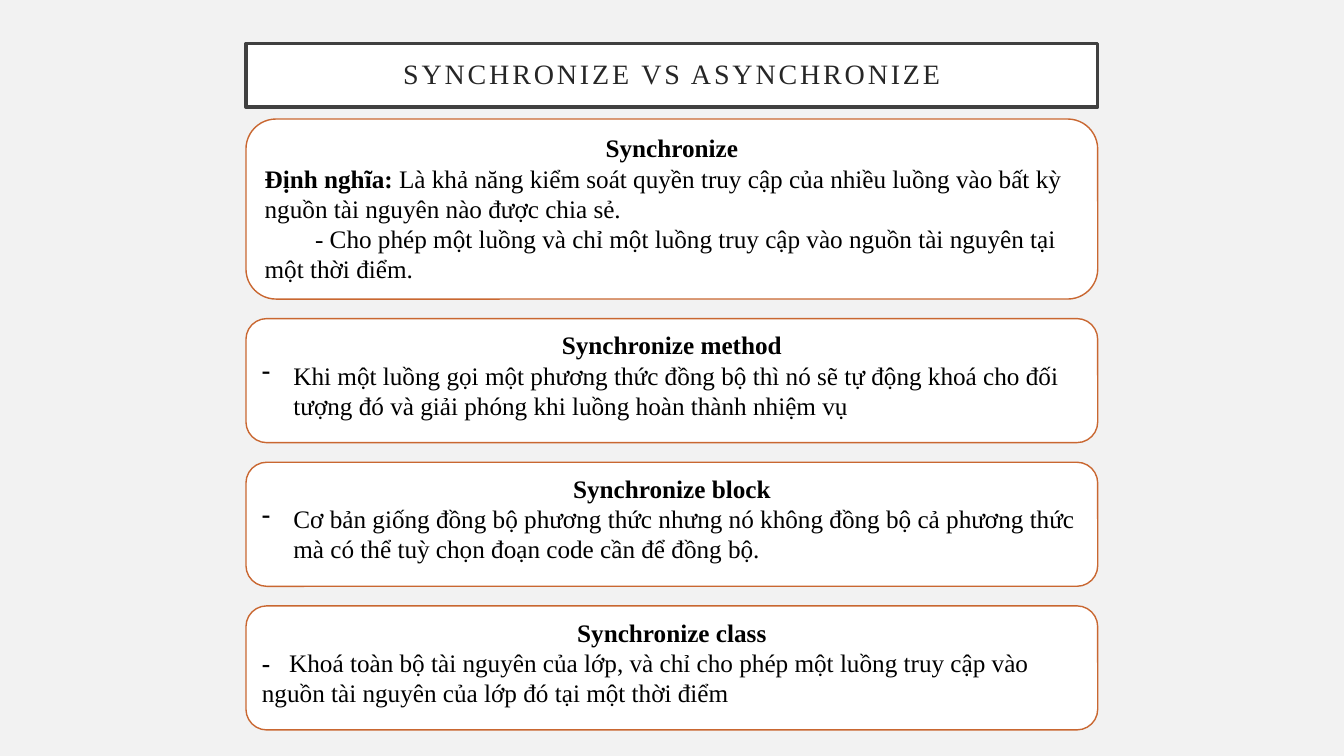
from lxml import etree
from pptx import Presentation
from pptx.dml.color import RGBColor
from pptx.enum import shapes, text
from pptx.oxml.ns import qn
from pptx.util import Pt

COLORS = {
    "background": "F2F2F2",
    "white": "FFFFFF",
    "title_line": "404040",
    "title_text": "262626",
    "card_line": "C96731",
    "black": "000000",
}
LEFT, WIDTH = Pt(175.7), Pt(608.4)
CARD_TOP, CARD_GAP = 85, 14

# Each card: height, heading, then paragraphs as (layout, [(text, bold), ...])
CARDS = [
    (128.6, "Synchronize", [
        ("plain", [("Định nghĩa: ", True),
                   ("Là khả năng kiểm soát quyền truy cập của nhiều luồng vào "
                    "bất kỳ nguồn tài nguyên nào được chia sẻ.", False)]),
        ("first_line", [("- Cho phép một luồng và chỉ một luồng truy cập vào nguồn "
                         "tài nguyên tại một thời điểm.", False)]),
    ]),
    (88.6, "Synchronize method", [
        ("bullet", [("Khi một luồng gọi một phương thức đồng bộ thì nó sẽ tự động khoá "
                     "cho đối tượng đó và giải phóng khi luồng hoàn thành nhiệm vụ", False)]),
    ]),
    (88.6, "Synchronize block", [
        ("bullet", [("Cơ bản giống đồng bộ phương thức nhưng nó không đồng bộ cả phương "
                     "thức mà có thể tuỳ chọn đoạn code cần để đồng bộ.", False)]),
    ]),
    (88.6, "Synchronize class", [
        ("tabbed", [("-\t", True),
                    ("Khoá toàn bộ tài nguyên của lớp, và chỉ cho phép một luồng truy cập "
                     "vào nguồn tài nguyên của lớp đó tại một thời điểm", False)]),
    ]),
]


def rgb(name):
    return RGBColor.from_string(COLORS[name])


def set_attributes(target, values):
    for name, value in values.items():
        setattr(target, name, value)


def outline(shape, color, width):
    """Give the shape a white fill and a coloured border."""
    shape.fill.solid()
    shape.fill.fore_color.rgb = rgb("white")
    shape.line.color.rgb = rgb(color)
    shape.line.width = Pt(width)


def set_layout(paragraph, layout):
    """Apply the indent, bullet or tab stop that the layout names."""
    properties = paragraph._p.get_or_add_pPr()
    if layout == "first_line":
        properties.set("indent", str(Pt(36)))
    elif layout == "bullet":
        properties.set("marL", str(Pt(22.5)))
        properties.set("indent", str(-Pt(22.5)))
        etree.SubElement(properties, qn("a:buFontTx"))
        etree.SubElement(properties, qn("a:buChar"), char="-")
    elif layout == "tabbed":
        tabs = etree.SubElement(properties, qn("a:tabLst"))
        etree.SubElement(tabs, qn("a:tab"), pos=str(Pt(19.5)), algn="l")


def add_run(paragraph, content, size, color, bold=False):
    run = paragraph.add_run()
    run.text = content
    set_attributes(run.font, {"name": "Times New Roman", "size": Pt(size), "bold": bold})
    run.font.color.rgb = rgb(color)
    return run


def fill_title(slide):
    title = slide.shapes.title
    set_attributes(title, {"left": LEFT, "top": Pt(31), "width": WIDTH, "height": Pt(45.4)})
    outline(title, "title_line", 2.5)
    inset = Pt(14.4)
    set_attributes(title.text_frame, {
        "margin_left": inset, "margin_right": inset,
        "margin_top": inset, "margin_bottom": inset,
        "vertical_anchor": text.MSO_ANCHOR.MIDDLE,
        "auto_size": text.MSO_AUTO_SIZE.NONE, "word_wrap": True,
    })
    paragraph = title.text_frame.paragraphs[0]
    set_attributes(paragraph, {"alignment": text.PP_ALIGN.CENTER, "line_spacing": 0.9})
    run = add_run(paragraph, "SYNCHRONIZE VS ASYNCHRONIZE", 20, "title_text")
    run.font._element.set("spc", "200")


def add_card(slide, top, height, heading, body):
    card = slide.shapes.add_shape(
        shapes.MSO_SHAPE.ROUNDED_RECTANGLE, LEFT, Pt(top), WIDTH, Pt(height))
    card.shadow.inherit = False
    outline(card, "card_line", 1)
    frame = card.text_frame
    set_attributes(frame, {"vertical_anchor": text.MSO_ANCHOR.TOP, "word_wrap": True})
    frame.paragraphs[0].alignment = text.PP_ALIGN.CENTER
    add_run(frame.paragraphs[0], heading, 18, "black", bold=True)
    for layout, runs in body:
        paragraph = frame.add_paragraph()
        paragraph.alignment = text.PP_ALIGN.LEFT
        set_layout(paragraph, layout)
        for content, bold in runs:
            add_run(paragraph, content, 18, "black", bold)


def main():
    presentation = Presentation()
    set_attributes(presentation, {"slide_width": Pt(960), "slide_height": Pt(540)})
    slide = presentation.slides.add_slide(presentation.slide_layouts.get_by_name("Title Only"))
    slide.background.fill.solid()
    slide.background.fill.fore_color.rgb = rgb("background")
    fill_title(slide)
    top = CARD_TOP
    for height, heading, body in CARDS:
        add_card(slide, top, height, heading, body)
        top += height + CARD_GAP
    presentation.save("out.pptx")


if __name__ == "__main__":
    main()
